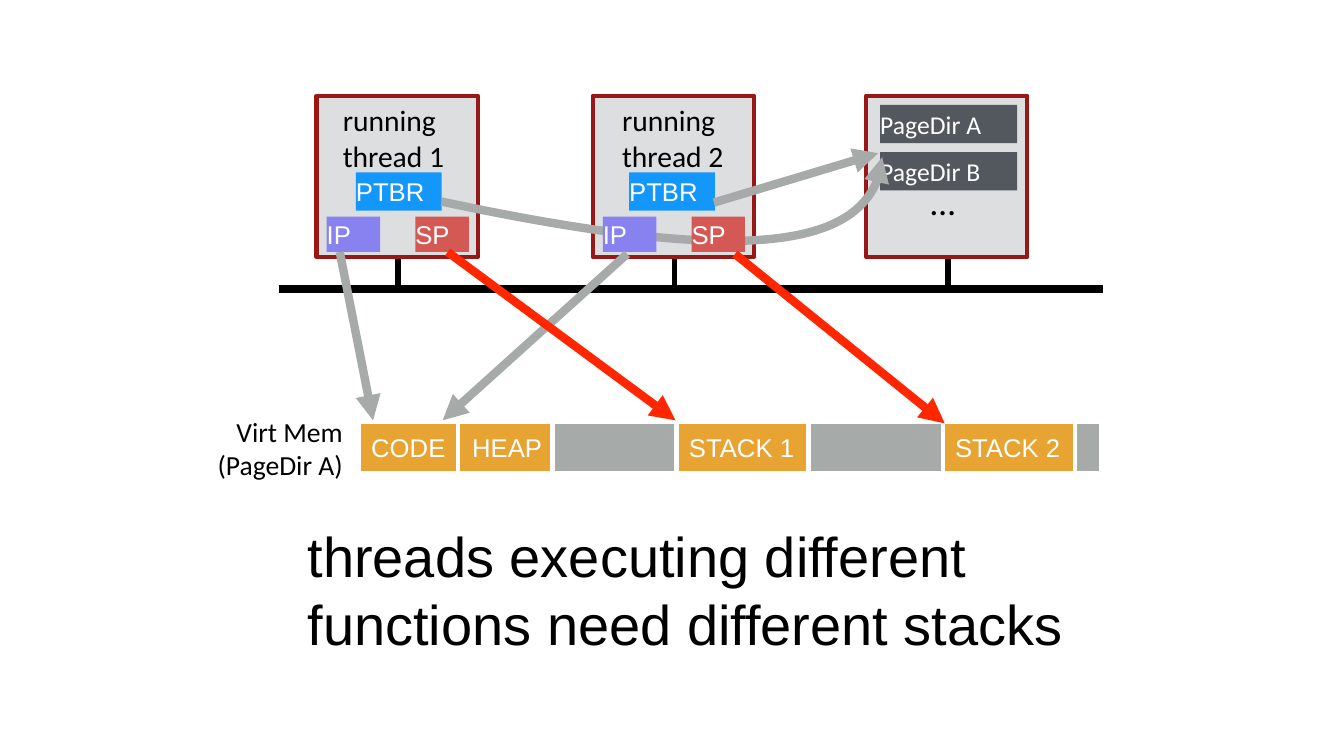
from lxml import etree
from pptx import Presentation
from pptx.dml.color import RGBColor as RGB
from pptx.enum.shapes import MSO_CONNECTOR as CONN, MSO_SHAPE as SHAPE
from pptx.enum.text import MSO_ANCHOR as ANCHOR, MSO_AUTO_SIZE as FIT, PP_ALIGN as ALIGN
from pptx.oxml.ns import qn
from pptx.util import Inches, Pt

COLORS = {
    "black": "000000", "white": "FFFFFF", "panel": "DCDEE0", "border": "971817",
    "slate": "53585F", "blue": "1497FC", "violet": "8881F0", "rose": "D45954",
    "amber": "E8A433", "gray": "A6AAA8", "red": "FF2600",
}


def color(name):
    return RGB.from_string(COLORS[name])


def apply(target, values):
    for key, value in values.items():
        setattr(target, key, value)


def write(shape, lines, size, font, ink, align=ALIGN.LEFT, inset=0.0, wrap=True, fit=FIT.NONE):
    frame = shape.text_frame
    pad = Inches(inset)
    apply(frame, {
        "margin_left": pad, "margin_right": pad, "margin_top": pad, "margin_bottom": pad,
        "vertical_anchor": ANCHOR.MIDDLE, "word_wrap": wrap, "auto_size": fit,
    })
    for i, line in enumerate(lines):
        para = frame.add_paragraph() if i else frame.paragraphs[0]
        para.alignment = align
        run = para.add_run()
        run.text = line
        apply(run.font, {"size": Pt(size), "name": font})
        run.font.color.rgb = color(ink)


def block(slide, box, fill, edge=None, text=None, font="Arial", align=ALIGN.LEFT):
    shape = slide.shapes.add_shape(SHAPE.RECTANGLE, *map(Inches, box))
    shape.shadow.inherit = False
    shape.fill.solid()
    shape.fill.fore_color.rgb = color(fill)
    if edge:
        shape.line.color.rgb = color(edge)
        shape.line.width = Pt(3)
    else:
        shape.line.fill.background()
    if text:
        write(shape, [text], 18.3, font, "white", align)


def label(slide, box, lines, size, font="Calibri", align=ALIGN.LEFT, wrap=False):
    shape = slide.shapes.add_textbox(*map(Inches, box))
    write(shape, lines, size, font, "black", align, 0.04, wrap, FIT.SHAPE_TO_FIT_TEXT)


def stroke(shape, ink, width, head):
    shape.line.color.rgb = color(ink)
    shape.line.width = Pt(width)
    if head:
        etree.SubElement(shape.line._get_or_add_ln(), qn("a:tailEnd"), type="triangle")


def line(slide, start, end, ink, width=6, head=False):
    link = slide.shapes.add_connector(CONN.STRAIGHT, *map(Inches, start + end))
    stroke(link, ink, width, head)
    etree.SubElement(link._element.spPr, qn("a:effectLst"))


def curve(slide, start, bend1, bend2, end, low, ink):
    """Curved arrow; low is the lowest height that the curve reaches."""
    unit = 100
    grid = [(x * unit, y * unit) for x, y in (start, (start[0], low), end)]
    build = slide.shapes.build_freeform(*grid[0], scale=Inches(1) / unit)
    build.add_line_segments(grid[1:], close=False)
    shape = build.convert_to_shape()
    # Swap the straight segments for one Bézier segment
    route = shape._element.spPr.find(".//" + qn("a:path"))
    for part in route.findall(qn("a:lnTo")):
        route.remove(part)
    bezier = etree.SubElement(route, qn("a:cubicBezTo"))
    for x, y in (bend1, bend2, end):
        etree.SubElement(bezier, qn("a:pt"), x=str(round((x - start[0]) * unit)),
                         y=str(round((y - end[1]) * unit)))
    shape.shadow.inherit = False
    shape.fill.background()
    stroke(shape, ink, 6, True)


def panel(slide, left, top):
    block(slide, (left, top, 1.6, 1.6), "panel", "border")
    line(slide, (left + 0.81, top + 1.88), (left + 0.81, top + 1.62), "black", 4)


def thread(slide, left, top, number, name_gap, base_gap):
    panel(slide, left, top)
    label(slide, (left + name_gap, top + 0.02, 1.1, 0.79), ["running", f"thread {number}"], 21.1)
    block(slide, (left + base_gap, top + 0.76, 0.85, 0.38), "blue", text="PTBR")


def registers(slide, left, top):
    for gap, fill, name in ((0.1, "violet", "IP"), (0.98, "rose", "SP")):
        block(slide, (left + gap, top + 1.2, 0.53, 0.35), fill, text=name)


def ram(slide, left, top):
    panel(slide, left, top)
    for i, name in enumerate("AB"):
        block(slide, (left + 0.14, top + 0.09 + 0.47 * i, 1.36, 0.38), "slate",
              text=f"PageDir {name}", font="Calibri")
    label(slide, (left + 0.6, top + 0.8, 0.32, 0.5), ["…"], 25.3)


def memory(slide, left, top):
    label(slide, (left - 1.45, top - 0.12, 1.33, 0.74), ["Virt Mem", "(PageDir A)"], 19.7,
          align=ALIGN.RIGHT)
    parts = [(0, 0.98, "CODE"), (0.98, 0.98, "HEAP"), (7.1, 0.26, None), (3.13, 1.33, "STACK 1"),
             (5.77, 1.33, "STACK 2"), (4.46, 1.33, None), (1.92, 1.23, None)]
    for gap, width, name in parts:
        block(slide, (left + gap, top, width, 0.5), "amber" if name else "gray", "white",
              name, align=ALIGN.CENTER)


def main():
    deck = Presentation()
    apply(deck, {"slide_width": Inches(13.33), "slide_height": Inches(7.5)})
    slide = deck.slides.add_slide(deck.slide_layouts[6])
    top, cpu1, cpu2 = 0.95, 3.14, 5.88

    # Processors and memory on the bus
    thread(slide, cpu1, top, 1, 0.22, 0.39)
    thread(slide, cpu2, top, 2, 0.25, 0.36)
    ram(slide, 8.59, top)
    line(slide, (2.77, 2.87), (10.94, 2.87), "black")

    # Page directory pointers
    curve(slide, (4.38, 2), (7.24, 2.61), (8.7, 2.46), (8.75, 1.56), 2.37, "gray")
    line(slide, (7.08, 2.01), (8.71, 1.52), "gray", head=True)

    # Registers and virtual memory
    for left in (cpu1, cpu2):
        registers(slide, left, top)
    memory(slide, 3.56, 4.19)

    # Instruction and stack pointers
    for start, end, ink in (
        ((3.37, 2.5), (3.7, 4.17), "gray"), ((6.22, 2.52), (4.39, 4.17), "gray"),
        ((4.44, 2.5), (6.7, 4.17), "red"), ((7.29, 2.52), (9.37, 4.2), "red"),
    ):
        line(slide, start, end, ink, head=True)

    # Message
    label(slide, (3.01, 5.13, 8.42, 1.43),
          ["threads executing different functions need different stacks"], 40, "Arial", wrap=True)
    deck.save("out.pptx")


if __name__ == "__main__":
    main()
